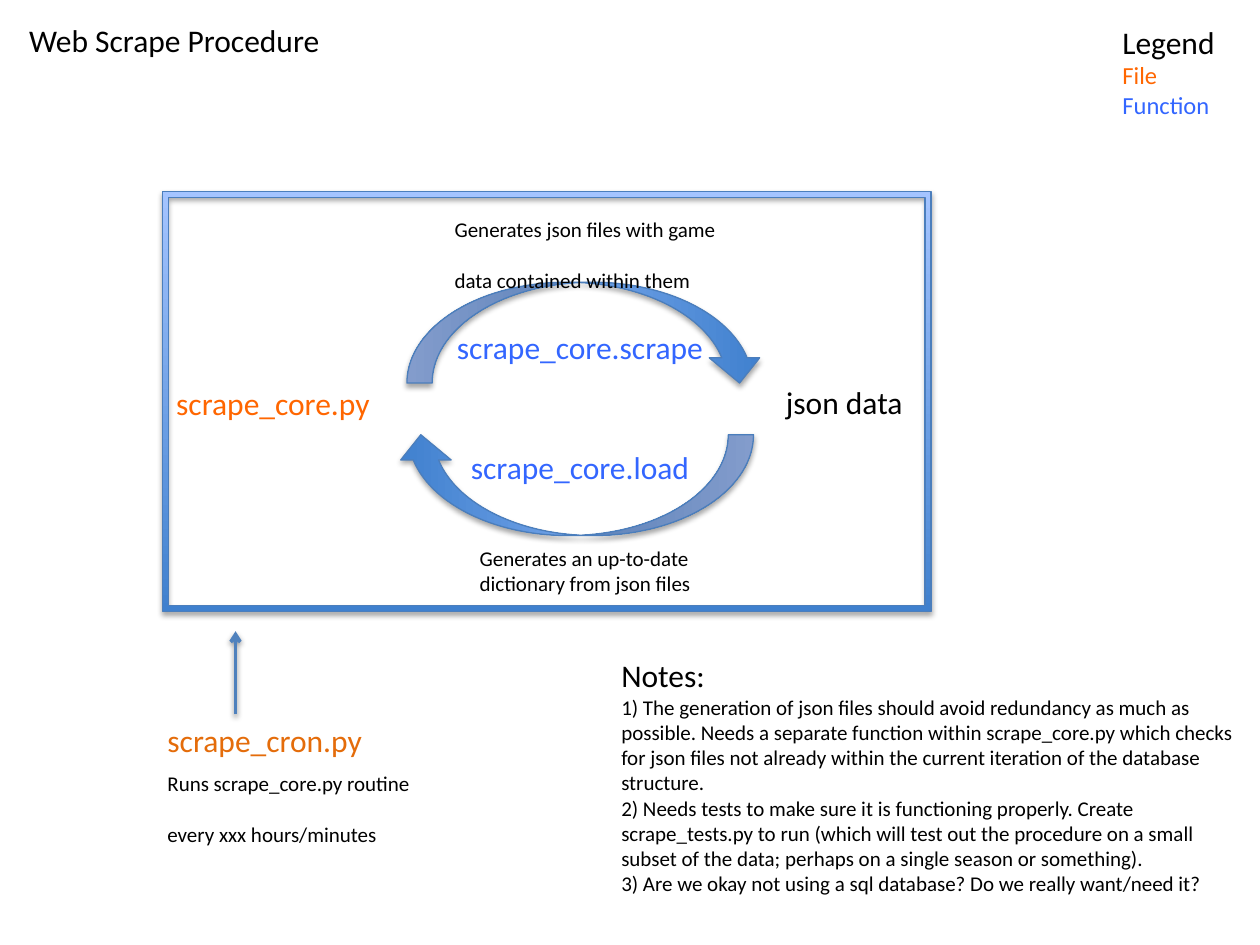
from lxml import etree
from pptx import Presentation
from pptx.dml.color import RGBColor
from pptx.enum import shapes, text
from pptx.oxml import ns, parse_xml
from pptx.util import Pt

BLACK = RGBColor(0x00, 0x00, 0x00)
ORANGE = RGBColor(0xFF, 0x66, 0x00)
RUST = RGBColor(0xE4, 0x6C, 0x0A)
BLUE = RGBColor(0x33, 0x66, 0xFF)
DEEP = RGBColor(0x3F, 0x80, 0xCE)
PALE = RGBColor(0xA4, 0xC4, 0xFF)
EDGE = RGBColor(0x4B, 0x7E, 0xBC)
STEM = RGBColor(0x4F, 0x81, 0xBD)

FRAME = {"auto_size": text.MSO_AUTO_SIZE.SHAPE_TO_FIT_TEXT,
         "vertical_anchor": text.MSO_ANCHOR.TOP,
         "margin_left": Pt(7.2), "margin_right": Pt(7.2),
         "margin_top": Pt(3.6), "margin_bottom": Pt(3.6)}
PARA = {"alignment": text.PP_ALIGN.LEFT,
        "space_before": Pt(0), "space_after": Pt(0)}
GAP = 14.6


def style(item, form):
    """Set each attribute in form on item."""
    for name, value in form.items():
        setattr(item, name, value)


def place(item, x, y, w, h):
    """Move and size an item, in points."""
    style(item, {"left": Pt(x), "top": Pt(y), "width": Pt(w), "height": Pt(h)})


def write(item, lines, wrap=False, gap=0):
    """Fill an item with (words, size, colour) lines, with a gap between them."""
    body = item.text_frame
    style(body, {**FRAME, "word_wrap": wrap})
    for i, (words, size, color) in enumerate(lines):
        para = body.paragraphs[0] if i == 0 else body.add_paragraph()
        style(para, {**PARA, "space_before": Pt(gap if i else 0)})
        run = para.add_run()
        run.text = words
        style(run.font, {"name": "Calibri", "size": Pt(size)})
        run.font.color.rgb = color


def label(slide, box, lines, gap=0):
    """Add a text box that does not wrap."""
    item = slide.shapes.add_textbox(*map(Pt, box))
    write(item, lines, gap=gap)


def shade(item, alpha, dist):
    """Give an item a soft shadow straight below it."""
    item._element.spPr.append(parse_xml(
        f'<a:effectLst {ns.nsdecls("a")}><a:outerShdw blurRad="{Pt(3.1)}" '
        f'dist="{Pt(dist)}" dir="5400000" rotWithShape="0">'
        f'<a:srgbClr val="000000"><a:alpha val="{alpha}000"/></a:srgbClr>'
        '</a:outerShdw></a:effectLst>'))


def glow(slide, kind, box, turn=0):
    """Add a preset shape with the blue gradient, edge and shadow."""
    item = slide.shapes.add_shape(kind, *map(Pt, box))
    item.rotation = turn
    item.fill.gradient()
    item.fill.gradient_angle = 90
    for stop, color, pos in zip(item.fill.gradient_stops, (DEEP, PALE), (0, 1)):
        stop.color.rgb = color
        stop.position = pos
    item.line.color.rgb = EDGE
    item.line.width = Pt(0.75)
    shade(item, 35, 1.8)
    return item


def head(slide, x, y, w, h):
    """Place the slide title."""
    title = slide.shapes.title
    place(title, x, y, w, h)
    write(title, [("Web Scrape Procedure", 18, BLACK)])


def legend(slide, x, y, w, h):
    """Place the colour legend."""
    label(slide, (x, y, w, h), [("Legend", 18, BLACK), ("File", 14, ORANGE),
                                ("Function", 14, BLUE)])


def cycle(slide, x, y, w, h):
    """Place the framed loop between script and data."""
    kind = shapes.MSO_SHAPE
    for dx, dy, turn in ((213, -21.7, 270), (206.5, 65.5, 90)):
        glow(slide, kind.CURVED_LEFT_ARROW, (x + dx, y + dy, 57.6, 204.5), turn)
    for dx, dy, wide, words, color in (
            (0.6, 106.5, 126.7, "scrape_core.py", ORANGE),
            (349, 105.8, 82, "json data", BLACK),
            (161, 74.1, 159, "scrape_core.scrape", BLUE),
            (169, 143.2, 141, "scrape_core.load", BLUE)):
        label(slide, (x + dx, y + dy, wide, 29), [(words, 18, color)])
    for dx, dy, wide, gap, lines in (
            (159.7, 10.7, 166, GAP, ("Generates json files with game",
                                     "data contained within them")),
            (174, 198.6, 137, 0, ("Generates an up-to-date",
                                  "dictionary from json files"))):
        label(slide, (x + dx, y + dy, wide, 36),
              [(words, 12, BLACK) for words in lines], gap)
    frame = glow(slide, kind.FRAME, (x, y, w, h))
    frame.adjustments[0] = 0.014


def cron(slide, x, y, w, h):
    """Place the timed script and its arrow up to the loop."""
    mid = x + 46
    arrow = slide.shapes.add_connector(
        shapes.MSO_CONNECTOR.STRAIGHT, Pt(mid), Pt(y + 47.5), Pt(mid), Pt(y))
    arrow.line.color.rgb = STEM
    arrow.line.width = Pt(2)
    etree.SubElement(arrow.line._ln, ns.qn("a:tailEnd"), type="arrow")
    shade(arrow, 38, 1.6)
    label(slide, (x, y + 47.5, 127.5, 29), [("scrape_cron.py", 18, RUST)])
    label(slide, (x, y + 76.3, w, h - 76.3),
          [("Runs scrape_core.py routine", 12, BLACK),
           ("every xxx hours/minutes", 12, BLACK)], GAP)


def notes(slide, x, y, w, h):
    """Place the list of notes in the body placeholder."""
    body = slide.placeholders[1]
    place(body, x, y, w, h)
    items = (
        "1) The generation of json files should avoid redundancy as much as "
        "possible. Needs a separate function within scrape_core.py which checks "
        "for json files not already within the current iteration of the "
        "database structure.",
        "2) Needs tests to make sure it is functioning properly. Create "
        "scrape_tests.py to run (which will test out the procedure on a small "
        "subset of the data; perhaps on a single season or something).",
        "3) Are we okay not using a sql database? Do we really want/need it?")
    write(body, [("Notes:", 18, BLACK)] + [(words, 12, BLACK) for words in items],
          wrap=True)
    for para in body.text_frame.paragraphs:
        props = para._p.get_or_add_pPr()
        props.set("marL", "0")
        props.set("indent", "0")
        etree.SubElement(props, ns.qn("a:buNone"))


def main():
    """Build and save the slide."""
    deck = Presentation()
    style(deck, {"slide_width": Pt(720), "slide_height": Pt(540)})
    slide = deck.slides.add_slide(deck.slide_layouts[1])
    head(slide, 9.4, 8.6, 183.6, 29)
    legend(slide, 634.3, 9.4, 67.7, 63.4)
    cycle(slide, 93, 109.5, 439, 240)
    cron(slide, 88.6, 360.7, 155.5, 127.4)
    notes(slide, 347.8, 371.5, 368.6, 145.4)
    deck.save("out.pptx")


main()
